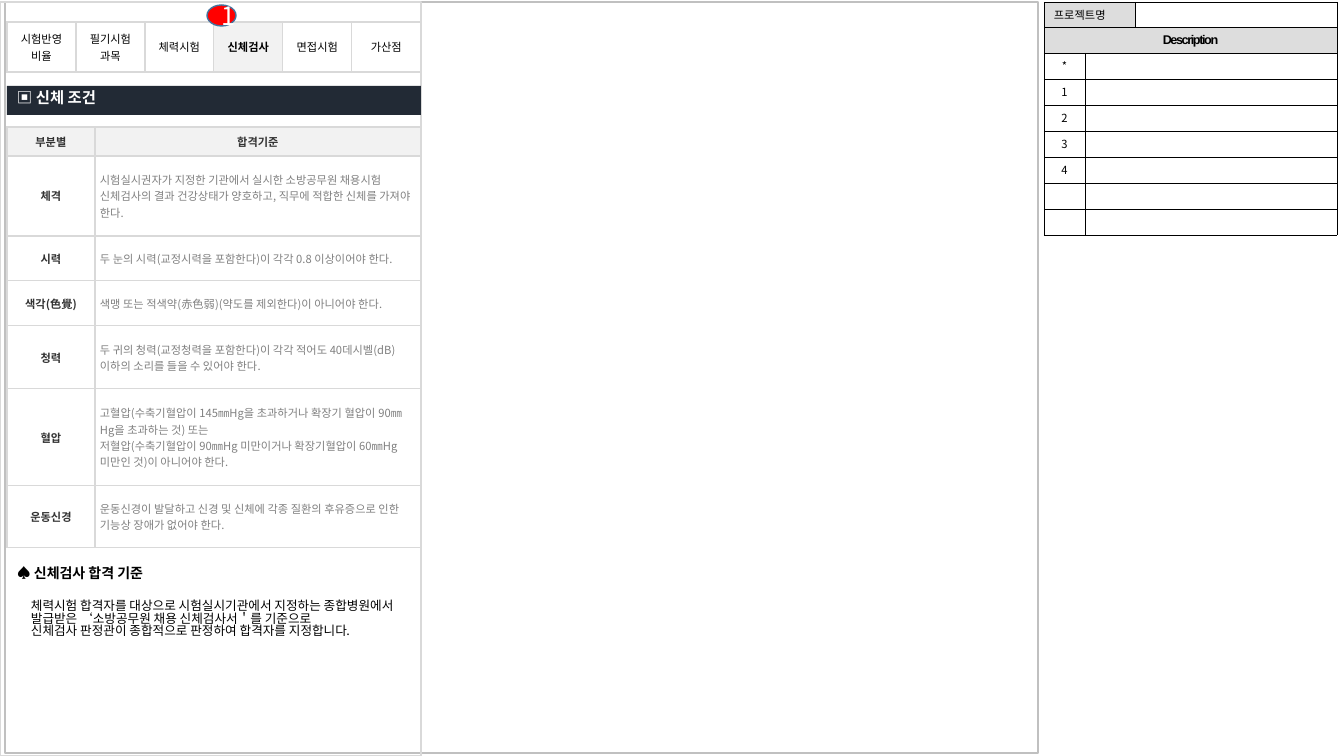
from lxml import etree
from pptx import Presentation
from pptx.dml.color import RGBColor
from pptx.enum.shapes import MSO_SHAPE as SHAPE
from pptx.enum.text import MSO_ANCHOR as ANCHOR, PP_ALIGN as ALIGN
from pptx.oxml.ns import qn
from pptx.util import Pt

PX = 914400 / 100.8
NOTO, ARIAL = "Noto Sans CJK KR", "Arial"
COLORS = {
    "black": "000000", "white": "FFFFFF", "ink": "333333", "gray": "808080",
    "navy": "222A35", "red": "FF0000", "blue": "43739E", "frame": "C0C0C0",
    "rule": "D9D9D9", "head": "F2F2F2", "label": "DDDDDD",
}

TABS = ["시험반영비율", "필기시험과목", "체력시험", "신체검사", "면접시험", "가산점"]
ACTIVE_TAB = "신체검사"
CRITERIA_HEAD = ["부분별", "합격기준"]
CRITERIA = [
    ("체격", "시험실시권자가 지정한 기관에서 실시한 소방공무원 채용시험 신체검사의 결과 "
           "건강상태가 양호하고, 직무에 적합한 신체를 가져야 한다."),
    ("시력", "두 눈의 시력(교정시력을 포함한다)이 각각 0.8 이상이어야 한다."),
    ("색각(色覺)", "색맹 또는 적색약(赤色弱)(약도를 제외한다)이 아니어야 한다."),
    ("청력", "두 귀의 청력(교정청력을 포함한다)이 각각 적어도 40데시벨(dB) 이하의 "
           "소리를 들을 수 있어야 한다."),
    ("혈압", "고혈압(수축기혈압이 145㎜Hg을 초과하거나 확장기 혈압이 90㎜Hg을 초과하는 것) 또는\n"
           "저혈압(수축기혈압이 90㎜Hg 미만이거나 확장기혈압이 60㎜Hg 미만인 것)이 아니어야 한다."),
    ("운동신경", "운동신경이 발달하고 신경 및 신체에 각종 질환의 후유증으로 인한 "
             "기능상 장애가 없어야 한다."),
]
BANNER = "▣ 신체 조건"
NOTE_TITLE = "♠ 신체검사 합격 기준"
NOTE = [
    "체력시험 합격자를 대상으로 시험실시기관에서 지정하는 종합병원에서 발급받은 "
    "‘소방공무원 채용 신체검사서＇를 기준으로",
    "신체검사 판정관이 종합적으로 판정하여 합격자를 지정합니다.",
]
PROJECT, DESCRIPTION = "프로젝트명", "Description"
DESCRIPTION_KEYS = ["*", "1", "2", "3", "4", "", ""]


def emu(px):
    return round(px * PX)


def rgb(name):
    return RGBColor.from_string(COLORS[name])


def write(p, text, size=8, font=NOTO, color="black", bold=False, align=ALIGN.LEFT,
          spacing=None, tracking=None):
    p.alignment = align
    p.line_spacing = spacing
    if not text:
        etree.SubElement(p._p, qn("a:endParaRPr")).set("sz", str(size * 100))
    for i, line in enumerate(text.split("\n") if text else []):
        if i:
            p.add_line_break()
        r = p.add_run()
        r.text = line
        r.font.size, r.font.bold, r.font.name = Pt(size), bold, font
        r.font.color.rgb = rgb(color)
        etree.SubElement(r._r.rPr, qn("a:ea")).set("typeface", NOTO)
        if tracking:
            r._r.rPr.set("spc", str(tracking))


def add_shape(box, kind=SHAPE.RECTANGLE, fill=None, line=None):
    sp = slide.shapes.add_shape(kind, *map(emu, box))
    sp.shadow.inherit = False
    if fill:
        sp.fill.solid()
        sp.fill.fore_color.rgb = rgb(fill)
    else:
        sp.fill.background()
    if line:
        sp.line.color.rgb = rgb(line)
        sp.line.width = Pt(1)
    else:
        sp.line.fill.background()
    return sp


def add_text(box, lines, **style):
    fill_text(slide.shapes.add_textbox(*map(emu, box)), lines, **style)


def fill_text(sp, lines, anchor=ANCHOR.TOP, **style):
    tf = sp.text_frame
    tf.word_wrap = True
    tf.vertical_anchor = anchor
    for i, line in enumerate(lines):
        write(tf.add_paragraph() if i else tf.paragraphs[0], line, **style)


def add_grid(left, top, cols, rows, border, width):
    size = (left, top, sum(cols), sum(rows))
    table = slide.shapes.add_table(len(rows), len(cols), *map(emu, size)).table
    table.first_row = table.horz_banding = False
    for col, w in zip(table.columns, cols):
        col.width = emu(w)
    for row, h in zip(table.rows, rows):
        row.height = emu(h)
    for cell in table.iter_cells():
        for side in ("a:lnL", "a:lnR", "a:lnT", "a:lnB"):
            ln = etree.SubElement(cell._tc.get_or_add_tcPr(), qn(side), w=str(Pt(width)))
            solid = etree.SubElement(ln, qn("a:solidFill"))
            etree.SubElement(solid, qn("a:srgbClr"), val=COLORS[border])
        cell.fill.background()
    return table


def set_cell(cell, text, fill=None, inset=(10, 5), **style):
    cell.vertical_anchor = ANCHOR.MIDDLE
    cell.margin_left = cell.margin_right = emu(inset[0])
    cell.margin_top = cell.margin_bottom = emu(inset[1])
    if fill:
        cell.fill.solid()
        cell.fill.fore_color.rgb = rgb(fill)
    write(cell.text_frame.paragraphs[0], text, **style)


prs = Presentation()
prs.slide_width, prs.slide_height = emu(1344), emu(756)
slide = prs.slides.add_slide(prs.slide_layouts[6])
CENTER = ALIGN.CENTER

add_shape((5, 2, 1033, 751), line="frame")

info = add_grid(1044, 2, [41, 50, 202], [25] + [26] * 8, "black", 0.25)
info.cell(0, 0).merge(info.cell(0, 1))
set_cell(info.cell(0, 0), PROJECT, "label", (10, 4))
set_cell(info.cell(0, 2), "", "white", (10, 4))
info.cell(1, 0).merge(info.cell(1, 2))
set_cell(info.cell(1, 0), DESCRIPTION, "label", size=9, font=ARIAL, bold=True,
         align=CENTER, tracking=-100)
for i, key in enumerate(DESCRIPTION_KEYS, 2):
    info.cell(i, 1).merge(info.cell(i, 2))
    set_cell(info.cell(i, 0), key, "white", (4, 4), align=CENTER)
    set_cell(info.cell(i, 1), "", "white", (4, 4))

add_shape((0, 2, 421, 754), line="rule")

tabs = add_grid(7, 22, [69] * len(TABS), [50], "rule", 1)
for cell, tab in zip(tabs.iter_cells(), TABS):
    active = tab == ACTIVE_TAB
    set_cell(cell, tab, "head" if active else None, font=ARIAL, bold=active, align=CENTER)

fill_text(add_shape((7, 86, 414, 29), fill="navy"), [BANNER], size=11, color="white",
          bold=True, spacing=0.82)

criteria = add_grid(7, 127, [88, 326], [29, 80, 45, 45, 63, 97, 62], "rule", 1)
for j, head in enumerate(CRITERIA_HEAD):
    set_cell(criteria.cell(0, j), head, "head", (3, 5), color="ink", bold=True, align=CENTER)
for i, (part, rule) in enumerate(CRITERIA, 1):
    set_cell(criteria.cell(i, 0), part, inset=(6, 9), color="ink", bold=True, align=CENTER)
    set_cell(criteria.cell(i, 1), rule, inset=(5, 7), color="gray")

add_text((21, 596, 400, 56), NOTE, size=9, spacing=0.82)
add_text((7, 563, 414, 27), [NOTE_TITLE], size=10, bold=True, spacing=0.82)

fill_text(add_shape((207, 5, 29, 21), SHAPE.OVAL, "red", "blue"), ["1"], ANCHOR.MIDDLE,
          size=18, color="white", align=CENTER)

prs.save("out.pptx")
